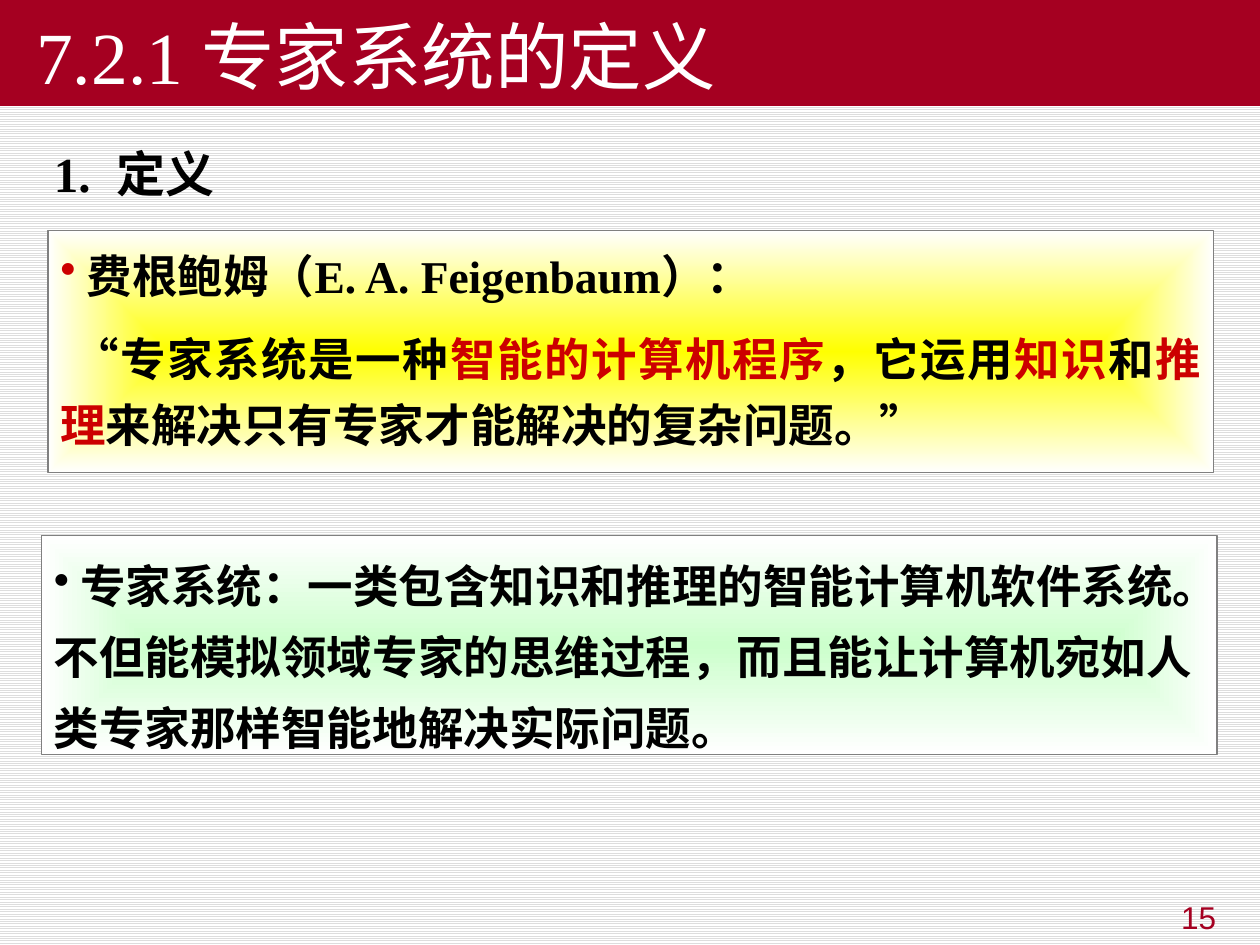
from dataclasses import dataclass

from lxml.etree import SubElement
from pptx import Presentation
from pptx.dml.color import RGBColor as RGB
from pptx.enum.dml import MSO_PATTERN as PATTERN
from pptx.enum.shapes import MSO_SHAPE as SHAPE
from pptx.enum.text import MSO_ANCHOR as ANCHOR, PP_ALIGN as ALIGN
from pptx.oxml.ns import qn
from pptx.util import Inches, Pt


@dataclass(frozen=True)
class Theme:
    crimson: str = "A50021"
    red: str = "CC0000"
    black: str = "000000"
    white: str = "FFFFFF"
    stripe: str = "DDDDDD"
    border: str = "808080"
    yellow: str = "FFFF00"
    green: str = "CCFFCC"
    serif: str = "Times New Roman"
    sans: str = "DejaVu Sans"
    number_font: str = "Arial"
    title_size: int = 42
    heading_size: int = 28
    body_size: int = 26
    number_size: int = 18


T = Theme()


def set_background(s):
    fill = s.background.fill
    fill.patterned()
    fill.pattern = PATTERN.LIGHT_HORIZONTAL
    fill.fore_color.rgb = RGB.from_string(T.stripe)
    fill.back_color.rgb = RGB.from_string(T.white)


def add_text_box(s, x, y, w, h):
    tf = s.shapes.add_textbox(Inches(x), Inches(y), Inches(w), Inches(h)).text_frame
    tf.word_wrap = True
    return tf


def add_rect(s, x, y, w, h, anchor=ANCHOR.TOP):
    sp = s.shapes.add_shape(SHAPE.RECTANGLE, Inches(x), Inches(y), Inches(w), Inches(h))
    sp.shadow.inherit = False
    sp.text_frame.word_wrap = True
    sp.text_frame.vertical_anchor = anchor
    return sp


def add_glow_panel(s, x, y, w, h, center):
    sp = add_rect(s, x, y, w, h)
    sp.fill.gradient()
    for stop, color in zip(sp.fill.gradient_stops, (center, T.white)):
        stop.color.rgb = RGB.from_string(color)
    grad = sp._element.spPr.find(qn("a:gradFill"))
    grad.remove(grad.find(qn("a:lin")))
    shade = SubElement(grad, qn("a:path"), {"path": "shape"})
    SubElement(shade, qn("a:fillToRect"), dict.fromkeys("ltrb", "50000"))
    sp.line.color.rgb = RGB.from_string(T.border)
    sp.line.width = Pt(0.75)
    return sp.text_frame


def format_paragraph(p, align=ALIGN.LEFT, spacing=None, before=0):
    p.alignment = align
    p.line_spacing = spacing
    p.space_before = Pt(before)
    return p


def add_bullet(p, color):
    pPr = p._p.get_or_add_pPr()
    SubElement(SubElement(pPr, qn("a:buClr")), qn("a:srgbClr"), val=color)
    SubElement(pPr, qn("a:buChar"), char="•")


def add_tab(p, position, indent=0):
    pPr = p._p.get_or_add_pPr()
    pPr.set("marL", "0")
    pPr.set("indent", str(Inches(indent)))
    tabs = SubElement(pPr, qn("a:tabLst"))
    SubElement(tabs, qn("a:tab"), pos=str(Inches(position)), algn="l")


def add_run(p, text, size=T.body_size, font=T.serif, color=T.black, bold=True):
    r = p.add_run()
    r.text = text
    r.font.size = Pt(size)
    r.font.name = font
    r.font.bold = bold
    r.font.color.rgb = RGB.from_string(color)


def add_title(s):
    sp = add_rect(s, 0, 0, 10, 0.84, ANCHOR.BOTTOM)
    sp.fill.solid()
    sp.fill.fore_color.rgb = RGB.from_string(T.crimson)
    sp.line.fill.background()
    p = format_paragraph(sp.text_frame.paragraphs[0])
    add_tab(p, 1.77, indent=0.19)
    add_run(p, "7.2.1\t专家系统的定义", T.title_size, color=T.white, bold=False)


def add_heading(s):
    tf = add_text_box(s, 0.33, 1, 9.25, 0.75)
    p = format_paragraph(tf.paragraphs[0], ALIGN.JUSTIFY, 1.2)
    add_tab(p, 0.57)
    add_run(p, "1.\t定义", T.heading_size)


def add_quotation(s):
    tf = add_glow_panel(s, 0.38, 1.83, 9.25, 1.92, T.yellow)
    p = format_paragraph(tf.paragraphs[0], ALIGN.JUSTIFY, 1.2)
    add_bullet(p, T.red)
    add_run(p, " 费根鲍姆（E. A. Feigenbaum）：")
    p = format_paragraph(tf.add_paragraph(), ALIGN.JUSTIFY, 1.2, before=10.4)
    for text, color in (
        (" “专家系统是一种", T.black),
        ("智能的计算机程序", T.red),
        ("，它运用", T.black),
        ("知识", T.red),
        ("和", T.black),
        ("推理", T.red),
        ("来解决只有专家才能解决的复杂问题。”", T.black),
    ):
        add_run(p, text, color=color)


def add_explanation(s):
    tf = add_glow_panel(s, 0.33, 4.25, 9.33, 1.74, T.green)
    p = format_paragraph(tf.paragraphs[0], spacing=1.3)
    add_bullet(p, T.black)
    add_run(p, " ", font=T.sans, bold=False)
    add_run(
        p,
        "专家系统：一类包含知识和推理的智能计算机软件系统。"
        "不但能模拟领域专家的思维过程，而且能让计算机宛如人类专家那样智能地解决实际问题。",
        font=T.sans,
    )


def add_page_number(s):
    tf = add_text_box(s, 7.58, 7.08, 2.17, 0.39)
    p = format_paragraph(tf.paragraphs[0], ALIGN.RIGHT)
    add_run(p, "15", T.number_size, T.number_font, T.crimson, bold=False)


def main():
    prs = Presentation()
    prs.slide_width, prs.slide_height = Inches(10), Inches(7.5)
    s = prs.slides.add_slide(prs.slide_layouts[6])
    set_background(s)
    add_page_number(s)
    add_title(s)
    add_heading(s)
    add_quotation(s)
    add_explanation(s)
    prs.save("out.pptx")


if __name__ == "__main__":
    main()
